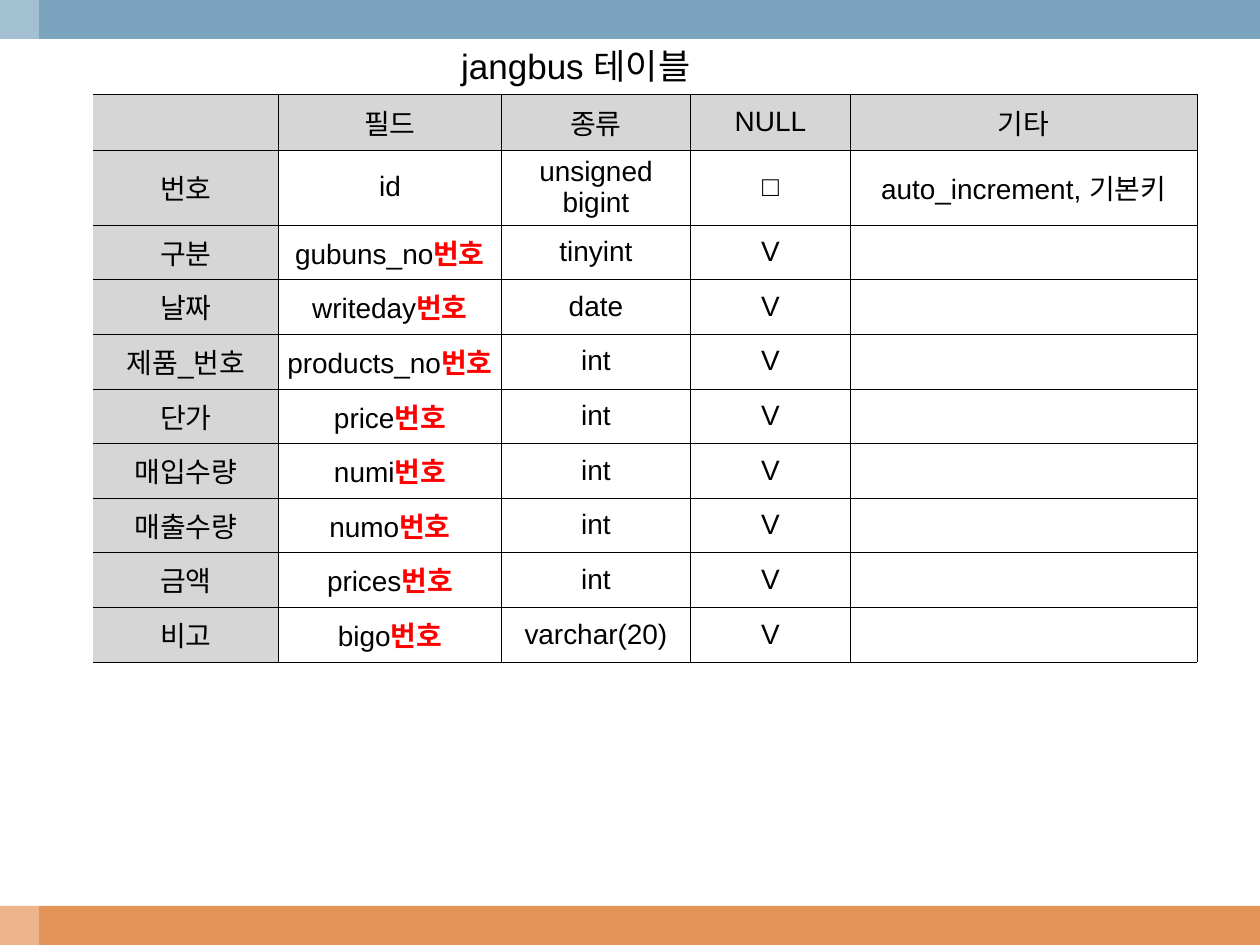
import dataclasses

import pptx
import pptx.dml.color
import pptx.enum.shapes
import pptx.enum.text
import pptx.oxml.ns
import pptx.util
from lxml import etree
from pptx.util import Inches

COLORS = {
    "blue": "7BA5BE",
    "orange": "E49458",
    "white": "FFFFFF",
    "grey": "D6D6D6",
    "black": "000000",
    "red": "FF0000",
}
FONT = "Arial"
BORDER_WIDTH = pptx.util.Pt(0.11)
MARK = "번호"


@dataclasses.dataclass
class Band:
    left: float
    top: float
    width: float
    height: float
    color: str
    opacity: int = 100


@dataclasses.dataclass
class Field:
    label: str
    name: str
    kind: str
    null: str = "V"
    note: str = ""
    marked: bool = True


BANDS = [
    Band(0, 7.19, 10, 0.31, "orange"),
    Band(0, 0, 10, 0.31, "blue"),
    Band(0, 0, 0.31, 7.5, "white", opacity=30),
]
FIELDS = [
    Field("", "필드", "종류", "NULL", "기타", marked=False),
    Field("번호", "id", "unsigned bigint", "□", "auto_increment, 기본키", marked=False),
    Field("구분", "gubuns_no", "tinyint"),
    Field("날짜", "writeday", "date"),
    Field("제품_번호", "products_no", "int"),
    Field("단가", "price", "int"),
    Field("매입수량", "numi", "int"),
    Field("매출수량", "numo", "int"),
    Field("금액", "prices", "int"),
    Field("비고", "bigo", "varchar(20)"),
]
COLUMN_WIDTHS = [1.47, 1.77, 1.5, 1.27, 2.75]
TABLE_HEIGHT = 4.48
TOP_ROW_HEIGHTS = [0.44, 0.57]


def rgb(name: str) -> pptx.dml.color.RGBColor:
    return pptx.dml.color.RGBColor.from_string(COLORS[name])


def add_child(parent, tag: str, **attributes: str):
    return etree.SubElement(parent, pptx.oxml.ns.qn(tag), attributes)


def style_paragraph(para, size: int) -> None:
    para.alignment = pptx.enum.text.PP_ALIGN.CENTER
    para.font.name = FONT
    para.font.size = pptx.util.Pt(size)
    para.font.color.rgb = rgb("black")


def draw_band(page, band: Band) -> None:
    shape = page.shapes.add_shape(
        pptx.enum.shapes.MSO_SHAPE.RECTANGLE,
        Inches(band.left), Inches(band.top), Inches(band.width), Inches(band.height))
    shape.shadow.inherit = False
    shape.fill.solid()
    shape.fill.fore_color.rgb = rgb(band.color)
    shape.line.fill.background()
    if band.opacity < 100:
        color = shape.fill._xPr.find(".//" + pptx.oxml.ns.qn("a:srgbClr"))
        add_child(color, "a:alpha", val=str(band.opacity * 1000))


def draw_borders(cell, open_left: bool) -> None:
    properties = cell._tc.get_or_add_tcPr()
    for side in ("a:lnL", "a:lnR", "a:lnT", "a:lnB"):
        line = add_child(properties, side, w=str(BORDER_WIDTH))
        if open_left and side == "a:lnL":
            add_child(line, "a:noFill")
        else:
            fill = add_child(line, "a:solidFill")
            add_child(fill, "a:srgbClr", val=COLORS["black"])


def fill_cell(cell, text: str, shaded: bool, open_left: bool, marked: bool) -> None:
    cell.margin_left = cell.margin_right = Inches(0.02)
    cell.margin_top = cell.margin_bottom = Inches(0.05)
    cell.vertical_anchor = pptx.enum.text.MSO_ANCHOR.MIDDLE
    draw_borders(cell, open_left)
    cell.fill.solid()
    cell.fill.fore_color.rgb = rgb("grey" if shaded else "white")
    para = cell.text_frame.paragraphs[0]
    style_paragraph(para, 16)
    if text:
        para.add_run().text = text
    if marked:
        span = para.add_run()
        span.text = MARK
        span.font.bold = True
        span.font.color.rgb = rgb("red")


def draw_table(page, fields: list[Field]) -> None:
    table = page.shapes.add_table(
        len(fields), len(COLUMN_WIDTHS), Inches(0.74), Inches(0.75),
        Inches(sum(COLUMN_WIDTHS)), Inches(TABLE_HEIGHT)).table
    table.first_row = False
    table.horz_banding = False
    for column, width in zip(table.columns, COLUMN_WIDTHS):
        column.width = Inches(width)

    # The rows below the first two share the remaining height
    other_count = len(fields) - len(TOP_ROW_HEIGHTS)
    other_height = (TABLE_HEIGHT - sum(TOP_ROW_HEIGHTS)) / other_count
    heights = TOP_ROW_HEIGHTS + [other_height] * other_count

    for r, (field, height) in enumerate(zip(fields, heights)):
        table.rows[r].height = Inches(height)
        texts = (field.label, field.name, field.kind, field.null, field.note)
        for c, text in enumerate(texts):
            fill_cell(table.cell(r, c), text, shaded=r == 0 or c == 0,
                      open_left=c == 0, marked=field.marked and c == 1)


def draw_title(page, text: str) -> None:
    box = page.shapes.add_textbox(Inches(3.19), Inches(0.3), Inches(2.76), Inches(0.45))
    box.text_frame.word_wrap = True
    para = box.text_frame.paragraphs[0]
    style_paragraph(para, 20)
    para.add_run().text = text


def main() -> None:
    deck = pptx.Presentation()
    deck.slide_width = Inches(10)
    deck.slide_height = Inches(7.5)
    page = deck.slides.add_slide(deck.slide_layouts[6])

    # Coloured bands at the edges
    for band in BANDS:
        draw_band(page, band)

    # Field list with its heading
    draw_table(page, FIELDS)
    draw_title(page, "jangbus 테이블")

    deck.save("out.pptx")


if __name__ == "__main__":
    main()
